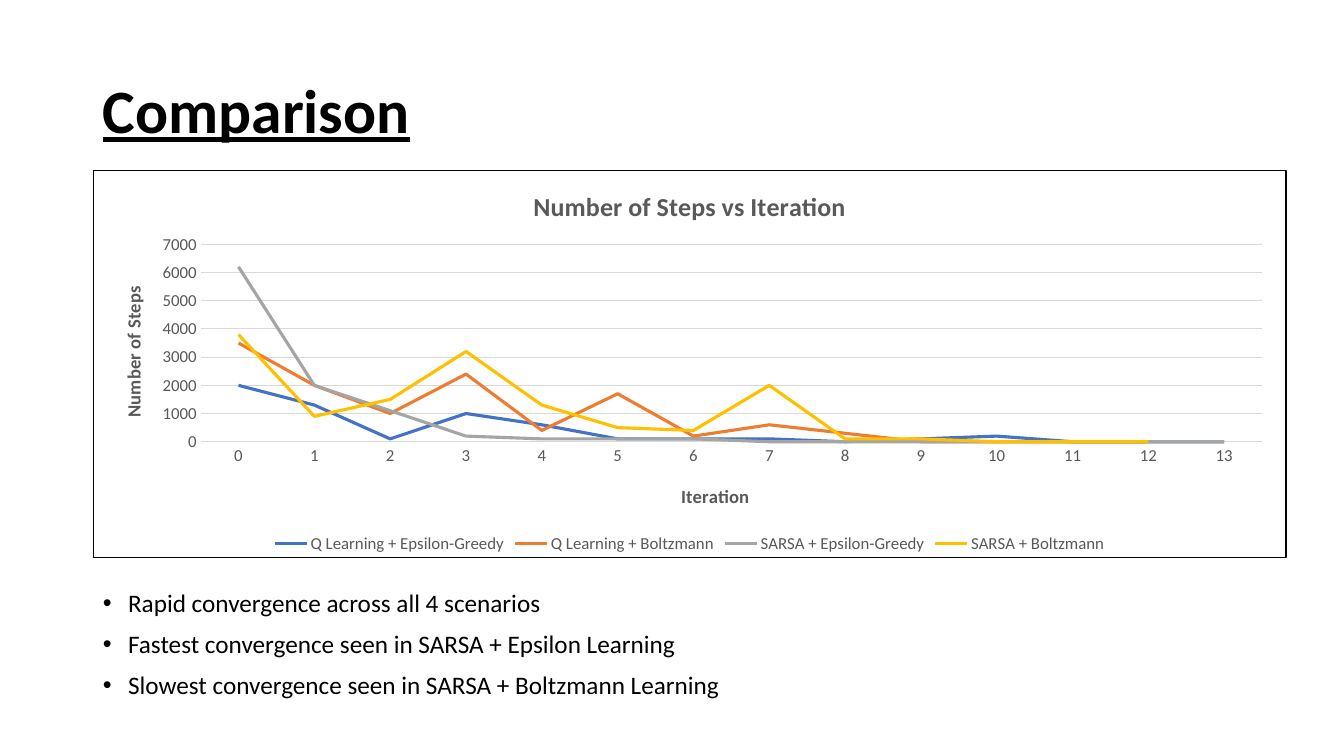
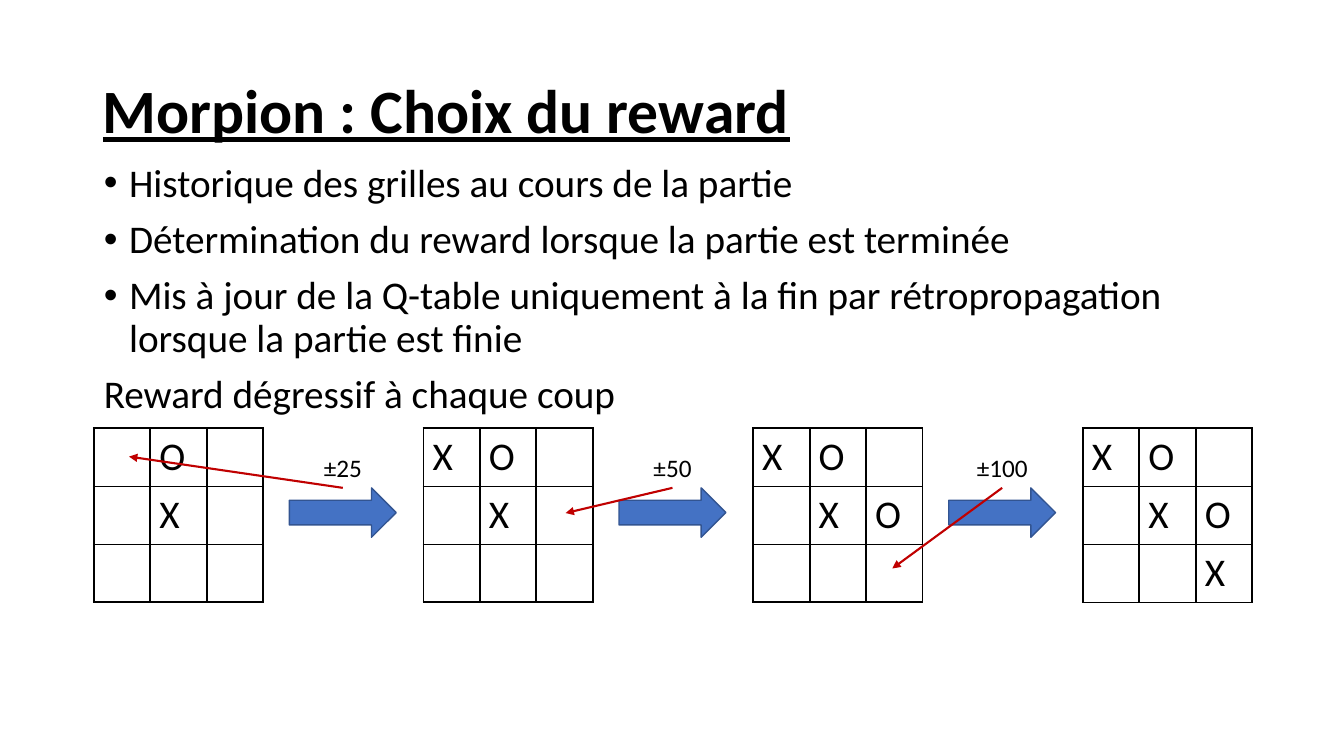
import dataclasses
import typing

import lxml.etree
import pptx
import pptx.chart.data
import pptx.dml.color
import pptx.enum.chart
import pptx.enum.shapes
import pptx.enum.text
import pptx.oxml.ns
import pptx.util

Inches = pptx.util.Inches
Pt = pptx.util.Pt
qn = pptx.oxml.ns.qn
Align = pptx.enum.text.PP_ALIGN

FONT = "Calibri"
COLORS = {
    "text": "000000",
    "chart_text": "595959",
    "grid": "D9D9D9",
    "arrow": "4472C4",
    "arrow_edge": "325491",
    "pointer": "C00000",
}
CELL_W, CELL_H = 0.56, 0.57
BOARD_LEFT, BOARD_TOP, BOARD_STEP = 0.93, 4.25, 3.27


@dataclasses.dataclass(frozen=True)
class Curve:
    name: str
    color: str
    steps: tuple[int | None, ...]


@dataclasses.dataclass(frozen=True)
class Reward:
    text: str
    target_x: float
    target_y: float


CURVES = (
    Curve("Q Learning + Epsilon-Greedy", "4472C4",
          (2000, 1300, 100, 1000, 600, 100, 100, 100, 0, 100, 200, 0, 0, 0)),
    Curve("Q Learning + Boltzmann", "ED7D31",
          (3500, 2000, 1000, 2400, 400, 1700, 200, 600, 300, 0, 0, 0, 0, None)),
    Curve("SARSA + Epsilon-Greedy", "A5A5A5",
          (6200, 2000, 1100, 200, 100, 100, 100, 0, 0, 0, 0, 0, 0, 0)),
    Curve("SARSA + Boltzmann", "FFC000",
          (3800, 900, 1500, 3200, 1300, 500, 400, 2000, 100, 100, 0, 0, 0, None)),
)
BOARDS = (
    (" O ", " X ", "   "),
    ("XO ", " X ", "   "),
    ("XO ", " XO", "   "),
    ("XO ", " XO", "  X"),
)
REWARDS = (
    Reward("±25", 0.35, 0.28),
    Reward("±50", 1.41, 0.84),
    Reward("±100", 1.38, 1.39),
)


def rgb(key: str) -> pptx.dml.color.RGBColor:
    return pptx.dml.color.RGBColor.from_string(COLORS.get(key, key))


def set_font(font: typing.Any, size: float, color: str = "text",
             bold: bool = False, underline: bool = False) -> None:
    font.name = FONT
    font.size = Pt(size)
    font.bold = bold
    font.underline = underline
    font.color.rgb = rgb(color)


def set_line(line: typing.Any, color: str, width: float) -> None:
    line.color.rgb = rgb(color)
    line.width = Pt(width)


def write(frame: typing.Any, text: str, *, size: float, color: str = "text",
          bold: bool = False, underline: bool = False, align: Align = Align.LEFT,
          spacing: float = 1.0, before: float = 0, bullet: bool | None = None) -> None:
    paragraph = frame.paragraphs[0]
    if paragraph.runs:
        paragraph = frame.add_paragraph()
    paragraph.alignment = align
    paragraph.line_spacing = spacing
    paragraph.space_before = Pt(before)
    run = paragraph.add_run()
    run.text = text
    set_font(run.font, size, color, bold, underline)
    if bullet is None:
        return
    properties = paragraph._p.get_or_add_pPr()
    hang = Inches(0.25) if bullet else 0
    properties.set("marL", str(hang))
    properties.set("indent", str(-hang))
    if bullet:
        lxml.etree.SubElement(properties, qn("a:buFont"), typeface="Arial")
        lxml.etree.SubElement(properties, qn("a:buChar"), char="•")
    else:
        lxml.etree.SubElement(properties, qn("a:buNone"))


def place(shape: typing.Any, left: float, top: float, width: float, height: float) -> None:
    shape.left, shape.top = Inches(left), Inches(top)
    shape.width, shape.height = Inches(width), Inches(height)
    shape.text_frame.word_wrap = True
    shape.text_frame.auto_size = pptx.enum.text.MSO_AUTO_SIZE.NONE


def start_slide(deck: typing.Any, heading: str) -> typing.Any:
    slide = deck.slides.add_slide(deck.slide_layouts[1])
    title = slide.shapes.title
    place(title, 0.92, 0.4, 11.5, 1.45)
    title.text_frame.vertical_anchor = pptx.enum.text.MSO_ANCHOR.MIDDLE
    write(title.text_frame, heading, size=44, bold=True, underline=True, spacing=0.9)
    return slide


def write_points(slide: typing.Any, box: tuple[float, float, float, float],
                 points: tuple[str, ...], size: float, closing: str = "") -> None:
    body = slide.placeholders[1]
    place(body, *box)
    for point in points:
        write(body.text_frame, point, size=size, spacing=0.9, before=10, bullet=True)
    if closing:
        write(body.text_frame, closing, size=size, spacing=0.9, before=10, bullet=False)


def set_layout(parent: typing.Any, index: int, inner: bool = False, **fractions: float) -> None:
    for old in parent.findall(qn("c:layout")):
        parent.remove(old)
    layout = lxml.etree.Element(qn("c:layout"))
    manual = lxml.etree.SubElement(layout, qn("c:manualLayout"))
    if inner:
        lxml.etree.SubElement(manual, qn("c:layoutTarget"), val="inner")
    for mode in ("xMode", "yMode"):
        lxml.etree.SubElement(manual, qn(f"c:{mode}"), val="edge")
    for side, fraction in fractions.items():
        lxml.etree.SubElement(manual, qn(f"c:{side}"), val=str(fraction))
    parent.insert(index, layout)


def add_outline(parent: typing.Any, tag: str, width: float) -> typing.Any:
    outline = lxml.etree.SubElement(parent, qn(tag), w=str(Pt(width)))
    fill = lxml.etree.SubElement(outline, qn("a:solidFill"))
    lxml.etree.SubElement(fill, qn("a:srgbClr"), val=COLORS["text"])
    return outline


def format_axis(axis: typing.Any, name: str, x: float, y: float) -> None:
    axis.major_tick_mark = pptx.enum.chart.XL_TICK_MARK.NONE
    set_font(axis.tick_labels.font, 12, "chart_text")
    write(axis.axis_title.text_frame, name, size=13.3, color="chart_text",
          bold=True, align=Align.CENTER)
    set_layout(axis.axis_title._element, 1, x=x, y=y)


def add_steps_chart(slide: typing.Any) -> None:
    data = pptx.chart.data.CategoryChartData()
    data.categories = [str(iteration) for iteration in range(14)]
    for curve in CURVES:
        data.add_series(curve.name, curve.steps)
    chart = slide.shapes.add_chart(
        pptx.enum.chart.XL_CHART_TYPE.LINE, Inches(0.92), Inches(1.69),
        Inches(11.84), Inches(3.85), data).chart
    set_font(chart.font, 10)
    chart.has_title = True
    write(chart.chart_title.text_frame, "Number of Steps vs Iteration", size=18.6,
          color="chart_text", bold=True, align=Align.CENTER)
    chart.has_legend = True
    chart.legend.position = pptx.enum.chart.XL_LEGEND_POSITION.BOTTOM
    chart.legend.include_in_layout = False
    set_font(chart.legend.font, 12, "chart_text")

    format_axis(chart.category_axis, "Iteration", 0.49, 0.8)
    set_line(chart.category_axis.format.line, "grid", 0.75)
    steps_axis = chart.value_axis
    format_axis(steps_axis, "Number of Steps", 0.02, 0.29)
    steps_axis.format.line.fill.background()
    steps_axis.minimum_scale, steps_axis.maximum_scale = 0, 7000
    steps_axis.major_unit = 1000
    set_line(steps_axis.major_gridlines.format.line, "grid", 0.75)

    plot = chart.plots[0]
    plot.vary_by_categories = False
    for series, curve in zip(plot.series, CURVES):
        series.smooth = False
        set_line(series.format.line, curve.color, 2.25)

    space = chart._chartSpace
    set_layout(space.find(f".//{qn('c:plotArea')}"), 0, inner=True,
               x=0.09, y=0.19, w=0.89, h=0.51)
    border = lxml.etree.Element(qn("c:spPr"))
    add_outline(border, "a:ln", 0.75)
    space.find(qn("c:chart")).addnext(border)


def add_board(slide: typing.Any, left: float, rows: tuple[str, ...]) -> None:
    grid = slide.shapes.add_table(3, 3, Inches(left), Inches(BOARD_TOP),
                                  Inches(3 * CELL_W), Inches(3 * CELL_H)).table
    grid.first_row = grid.horz_banding = False
    for column in grid.columns:
        column.width = Inches(CELL_W)
    for row, marks in zip(grid.rows, rows):
        row.height = Inches(CELL_H)
        for cell, mark in zip(row.cells, marks):
            cell.vertical_anchor = pptx.enum.text.MSO_ANCHOR.MIDDLE
            cell.margin_left = cell.margin_right = Inches(0.09)
            for side in ("L", "R", "T", "B"):
                add_outline(cell._tc.get_or_add_tcPr(), f"a:ln{side}", 1.5)
            cell.fill.background()
            if mark.strip():
                write(cell.text_frame, mark, size=28)


def add_reward(slide: typing.Any, left: float, reward: Reward) -> None:
    step = slide.shapes.add_shape(
        pptx.enum.shapes.MSO_SHAPE.RIGHT_ARROW, Inches(left + 1.94), Inches(4.84),
        Inches(1.06), Inches(0.49))
    step.shadow.inherit = False
    step.fill.solid()
    step.fill.fore_color.rgb = rgb("arrow")
    set_line(step.line, "arrow_edge", 1)

    label = slide.shapes.add_textbox(0, 0, 0, 0)
    place(label, left + 1.98, 4.44, 0.98, 0.4)
    write(label.text_frame, reward.text, size=18, align=Align.CENTER)

    pointer = slide.shapes.add_connector(
        pptx.enum.shapes.MSO_CONNECTOR.STRAIGHT, Inches(left + 2.47), Inches(4.84),
        Inches(left + reward.target_x), Inches(BOARD_TOP + reward.target_y))
    pointer.begin_connect(label, 2)
    set_line(pointer.line, "pointer", 1.5)
    lxml.etree.SubElement(pointer.line._get_or_add_ln(), qn("a:tailEnd"), type="triangle")
    lxml.etree.SubElement(pointer._element.spPr, qn("a:effectLst"))


def build_comparison(deck: typing.Any) -> None:
    slide = start_slide(deck, "Comparison")
    add_steps_chart(slide)
    write_points(slide, (0.92, 5.81, 11.84, 1.14), (
        "Rapid convergence across all 4 scenarios",
        "Fastest convergence seen in SARSA + Epsilon Learning",
        "Slowest convergence seen in SARSA + Boltzmann Learning",
    ), 18)


def build_reward_choice(deck: typing.Any) -> None:
    slide = start_slide(deck, "Morpion : Choix du reward")
    write_points(slide, (0.93, 1.57, 11.5, 4.76), (
        "Historique des grilles au cours de la partie",
        "Détermination du reward lorsque la partie est terminée",
        "Mis à jour de la Q-table uniquement à la fin par rétropropagation "
        "lorsque la partie est finie",
    ), 28, closing="Reward dégressif à chaque coup")
    lefts = [BOARD_LEFT + index * BOARD_STEP for index in range(len(BOARDS))]
    for left, rows in zip(lefts, BOARDS):
        add_board(slide, left, rows)
    for left, reward in zip(lefts, REWARDS):
        add_reward(slide, left, reward)


def main() -> None:
    deck = pptx.Presentation()
    deck.slide_width, deck.slide_height = Inches(13.33), Inches(7.5)
    build_comparison(deck)
    build_reward_choice(deck)
    deck.save("out.pptx")


if __name__ == "__main__":
    main()
